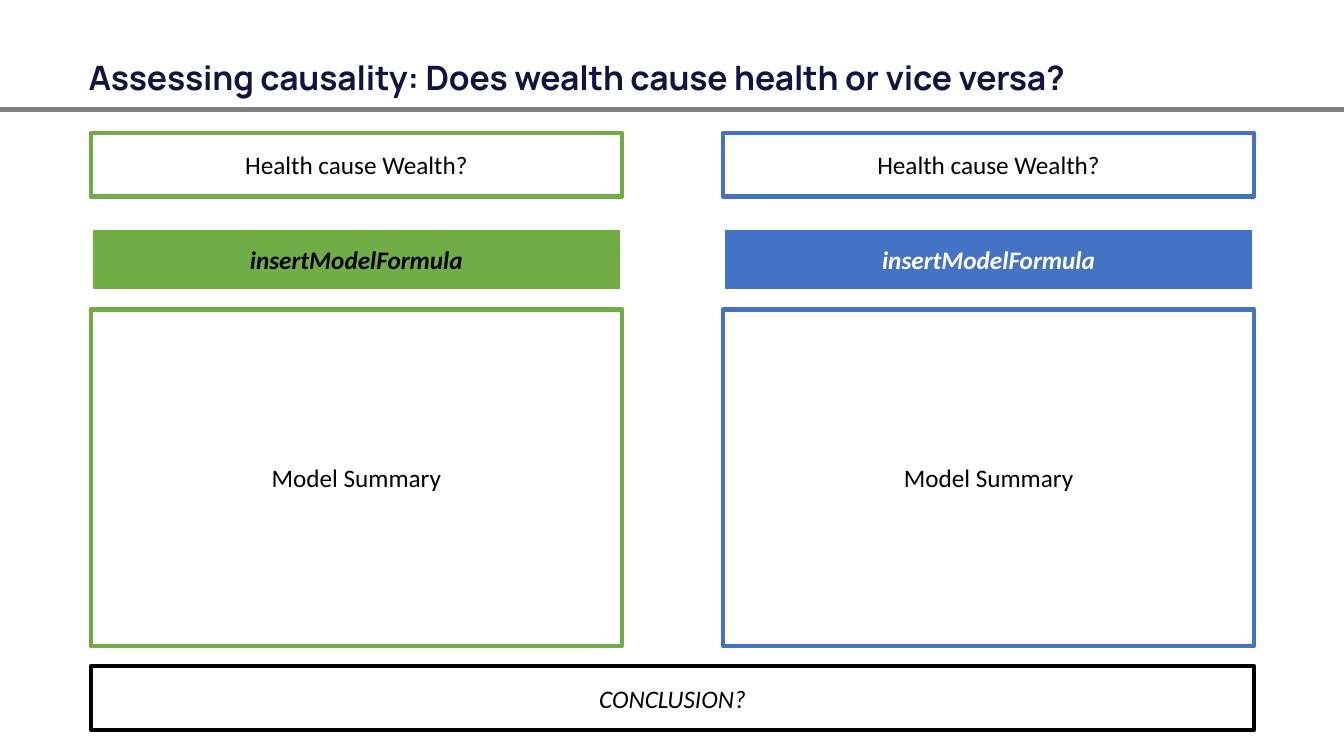
from pptx import Presentation
from pptx import util as u
from pptx.dml.color import RGBColor
from pptx.enum import shapes, text
from pptx.oxml.ns import qn
from lxml import etree

NAVY = RGBColor(0x11, 0x13, 0x40)
GRAY = RGBColor(0x80, 0x80, 0x80)
GREEN = RGBColor(0x70, 0xAD, 0x47)
BLUE = RGBColor(0x44, 0x72, 0xC4)
BLACK = RGBColor(0, 0, 0)
WHITE = RGBColor(0xFF, 0xFF, 0xFF)

# Grid in inches: column width and gap, row name -> (top, height)
WIDE, HIGH = 13.33, 7.5
LEFT, COL, GAP = 0.9, 5.27, 1.0
ROWS = {
    "title": (0.51, 0.5),
    "rule": (1.09, 0),
    "question": (1.32, 0.63),
    "formula": (2.26, 0.63),
    "summary": (3.07, 3.34),
    "answer": (6.61, 0.63),
}


class Board:
    """Holds the style and the current slide."""

    def __init__(self, deck):
        self.font, self.size, self.edge = "Calibri", 18, 3
        self.slide = deck.slides.add_slide(deck.slide_layouts[6])
        self.items = self.slide.shapes

    def cell(self, row, col, span):
        top, high = ROWS[row]
        left = LEFT + col * (COL + GAP)
        wide = span * COL + (span - 1) * GAP
        return [u.Inches(n) for n in (left, top, wide, high)]

    def label(self, frame, words, color, font, size, bold=False, slant=False):
        frame.word_wrap = True
        frame.text = words
        run = frame.paragraphs[0].runs[0]
        run.font.name, run.font.size = font, u.Pt(size)
        run.font.bold, run.font.italic = bold, slant
        run.font.color.rgb = color
        return run

    def title(self, words):
        top, high = ROWS["title"]
        box = self.items.add_textbox(*[u.Inches(n) for n in (0.78, top, 12.21, high)])
        frame = box.text_frame
        frame.vertical_anchor = text.MSO_ANCHOR.BOTTOM
        run = self.label(frame, words, NAVY, "Manrope", 24, bold=True)
        run._r.get_or_add_rPr().set("spc", "-10")

    def rule(self):
        y = u.Inches(ROWS["rule"][0])
        line = self.items.add_connector(
            shapes.MSO_CONNECTOR.STRAIGHT, 0, y, u.Inches(WIDE), y)
        line.line.color.rgb = GRAY
        line.line.width = u.Pt(3.5)
        etree.SubElement(line._element.spPr, qn("a:effectLst"))

    def box(self, words, row, col=0, span=1, fill=WHITE, edge=BLACK,
            ink=BLACK, **style):
        box = self.items.add_shape(
            shapes.MSO_SHAPE.RECTANGLE, *self.cell(row, col, span))
        box.shadow.inherit = False
        box.fill.solid()
        box.fill.fore_color.rgb = fill
        box.line.color.rgb = edge
        box.line.width = u.Pt(self.edge)
        frame = box.text_frame
        frame.vertical_anchor = text.MSO_ANCHOR.MIDDLE
        self.label(frame, words, ink, self.font, self.size, **style)
        frame.paragraphs[0].alignment = text.PP_ALIGN.CENTER


def main():
    deck = Presentation()
    deck.slide_width, deck.slide_height = u.Inches(WIDE), u.Inches(HIGH)
    board = Board(deck)

    # Heading
    board.title("Assessing causality: Does wealth cause health or vice versa?")
    board.rule()

    # One column per model
    for col, (hue, ink) in enumerate([(GREEN, BLACK), (BLUE, WHITE)]):
        board.box("Health cause Wealth?", "question", col, edge=hue)
        board.box("insertModelFormula", "formula", col, fill=hue, edge=WHITE,
                  ink=ink, bold=True, slant=True)
        board.box("Model Summary", "summary", col, edge=hue)

    # Conclusion across both columns
    board.box("CONCLUSION?", "answer", span=2, slant=True)

    deck.save("out.pptx")


if __name__ == "__main__":
    main()
